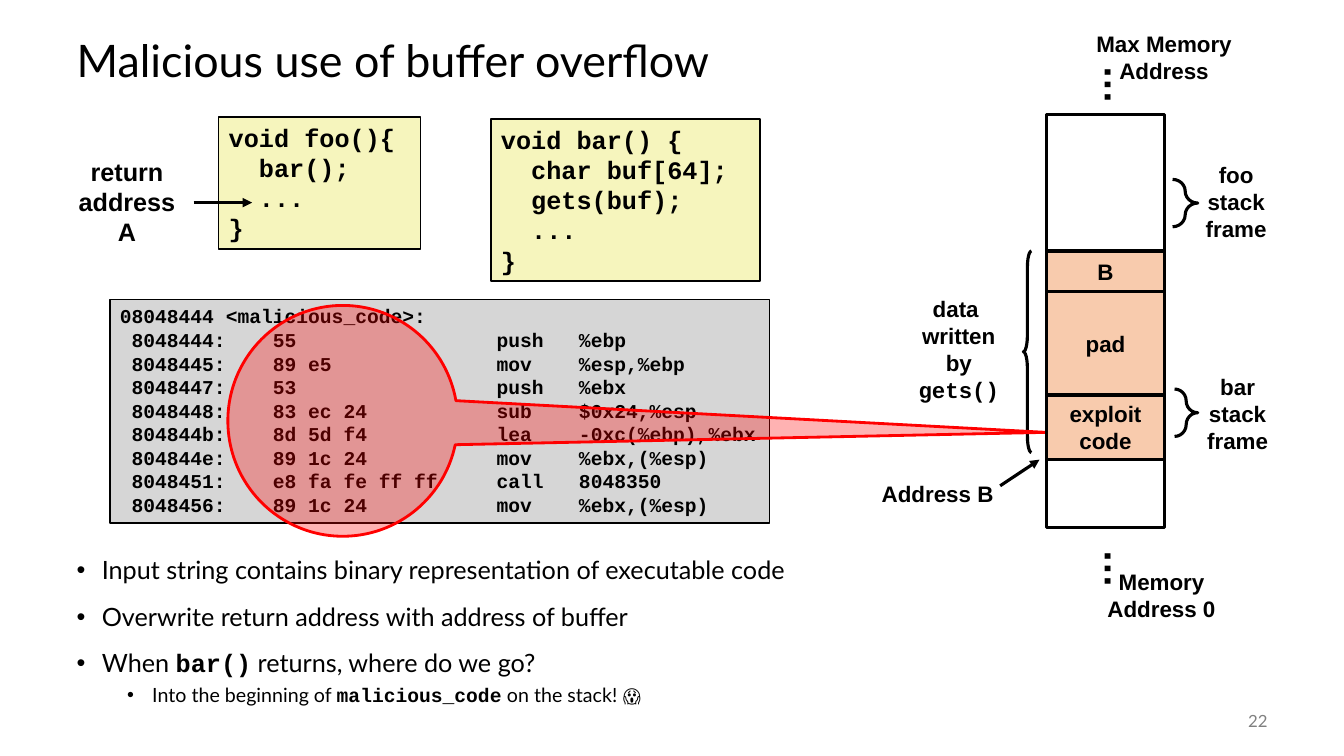
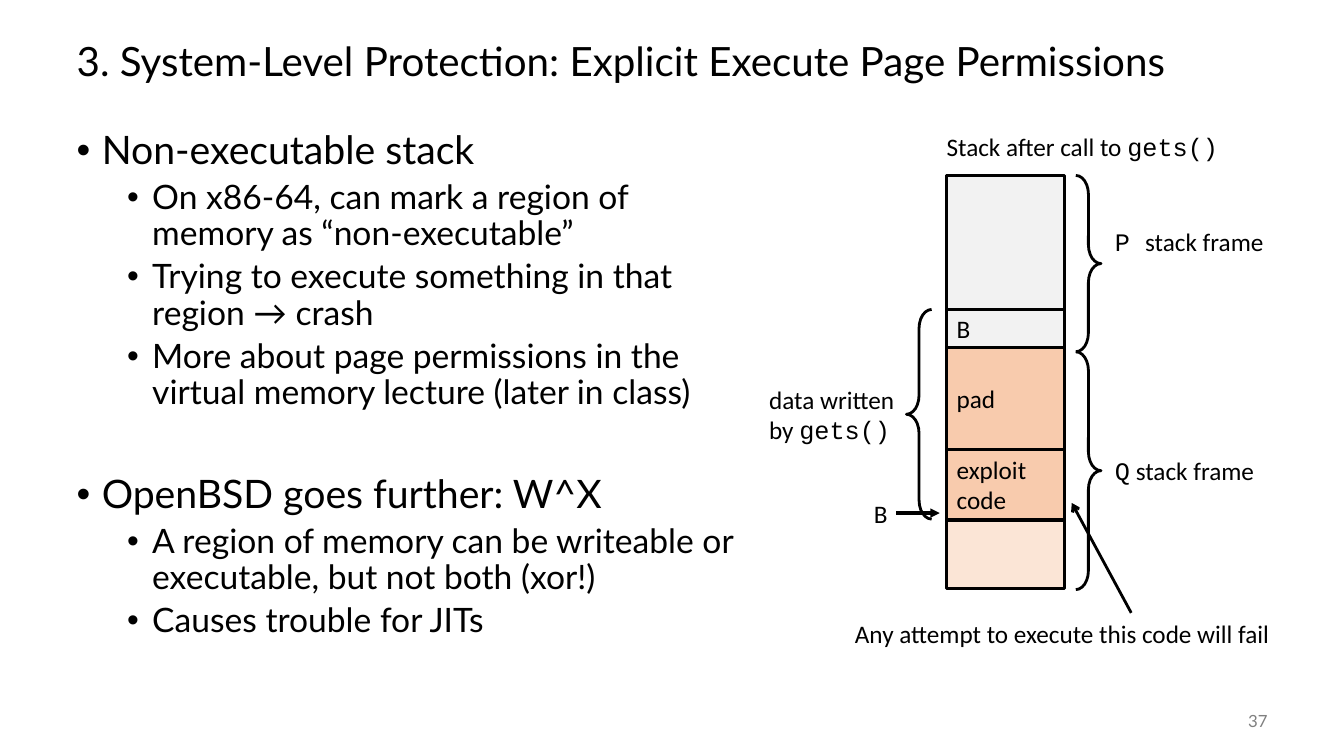
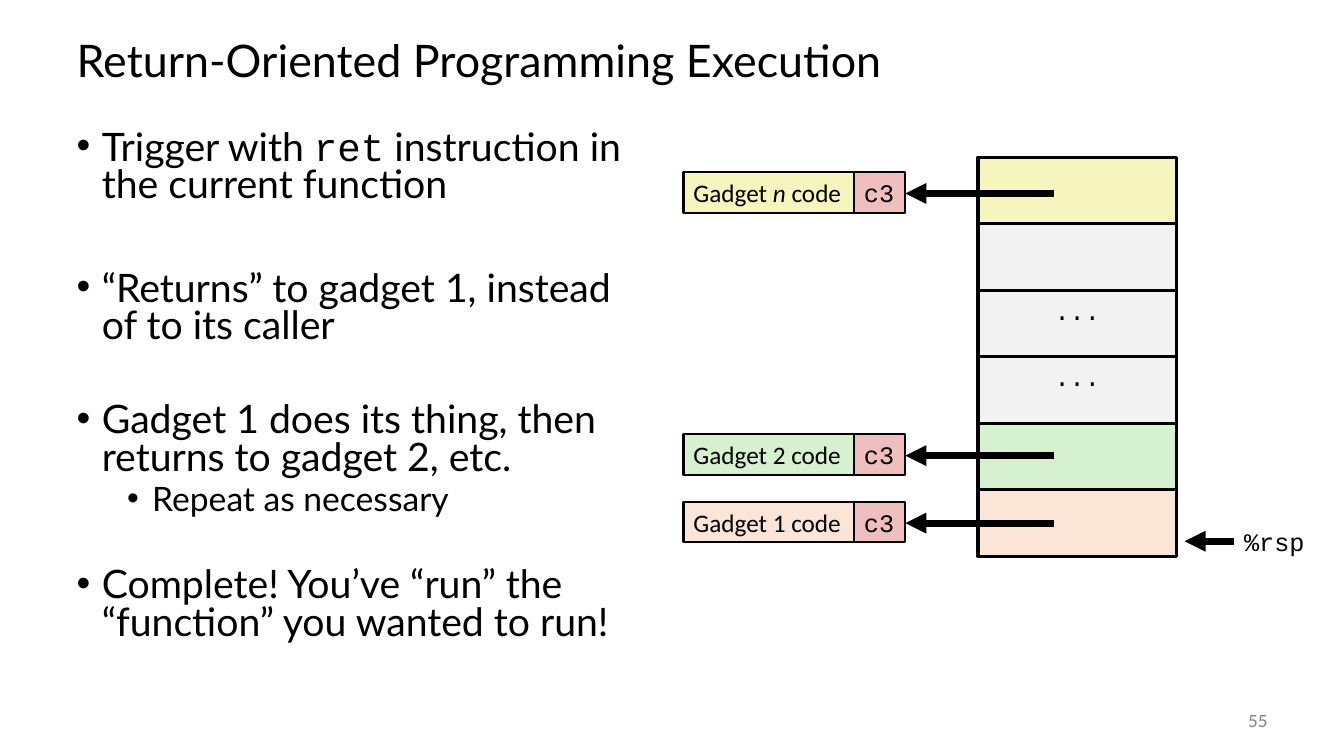
import lxml.etree
import pptx
import pptx.dml.color
import pptx.enum.shapes
import pptx.enum.text
import pptx.oxml.ns
import pptx.util

Inches = pptx.util.Inches
Pt = pptx.util.Pt
RGB = pptx.dml.color.RGBColor
KIND = pptx.enum.shapes.MSO_SHAPE
ALIGN = pptx.enum.text.PP_ALIGN
ANCHOR = pptx.enum.text.MSO_ANCHOR
qn = pptx.oxml.ns.qn

BLACK = RGB(0, 0, 0)
WHITE = RGB(255, 255, 255)
GREY = RGB(0x80, 0x80, 0x80)
DARK = RGB(0x33, 0x33, 0x33)
PALE = RGB(0xF2, 0xF2, 0xF2)
RED = RGB(255, 0, 0)
CREAM = RGB(0xF6, 0xF5, 0xBD)
PEACH = RGB(0xF8, 0xCB, 0xAD)
LIGHT = RGB(0xFB, 0xE5, 0xD6)
GREEN = RGB(0xD5, 0xF1, 0xCF)
PINK = RGB(0xEF, 0xBF, 0xBF)

MAIN, SANS, BODY, MONO = "Lato", "Arial", "Calibri", "Courier New"
CODE = {"name": MONO}
BOLD = {"name": MONO, "bold": True}
ITALIC = {"italic": True}

# Backticks mark the part of a line that takes the alternate style.
# A list item is (level, space before in points, text).
EXPLOIT = {
    "title": "Malicious use of buffer overflow", "size": 32, "number": 22,
    "box": (0.66, 5.48, 12, 1.65), "sizes": (18, 14), "pitch": 0.9, "alt": BOLD,
    "items": [
        (0, 0, "Input string contains binary representation of executable code"),
        (0, 14, "Overwrite return address with address of buffer"),
        (0, 14, "When `bar()` returns, where do we go?"),
        (1, 5, "Into the beginning of `malicious_code` on the stack! 😱"),
    ],
}
PERMIT = {
    "title": "3. System-Level Protection: Explicit Execute Page Permissions",
    "size": 28.8, "number": 37,
    "box": (0.66, 1.25, 6.86, 5.5), "sizes": (28, 24), "pitch": 0.9, "alt": CODE,
    "items": [
        (0, 0, "Non-executable stack"),
        (1, 5, "On x86-64, can mark a region of memory as “non-executable”"),
        (1, 5, "Trying to execute something in that region → crash"),
        (1, 5, "More about page permissions in the virtual memory lecture (later in class)"),
        (0, 45, "OpenBSD goes further: W^X"),
        (1, 5, "A region of memory can be writeable or executable, but not both (xor!)"),
        (1, 5, "Causes trouble for JITs"),
    ],
}
RETURN = {
    "title": "Return-Oriented Programming Execution", "size": 32, "number": 55,
    "box": (0.66, 1.25, 5.89, 5.5), "sizes": (28, 24), "pitch": 0.8, "alt": CODE,
    "items": [
        (0, 0, "Trigger with `ret` instruction in the current function"),
        (0, 47, "“Returns” to gadget 1, instead of to its caller"),
        (0, 40, "Gadget 1 does its thing, then returns to gadget 2, etc."),
        (1, 5, "Repeat as necessary"),
        (0, 36, "Complete! You’ve “run” the “function” you wanted to run!"),
    ],
}

FOO = ["void foo(){", "  bar();", "  ...", "}"]
BAR = ["void bar() {", "  char buf[64];", "  gets(buf);", "  ...", "}"]
DUMP = [
    "08048444 <malicious_code>:",
    " 8048444:    55                 push   %ebp",
    " 8048445:    89 e5              mov    %esp,%ebp",
    " 8048447:    53                 push   %ebx",
    " 8048448:    83 ec 24           sub    $0x24,%esp",
    " 804844b:    8d 5d f4           lea    -0xc(%ebp),%ebx",
    " 804844e:    89 1c 24           mov    %ebx,(%esp)",
    " 8048451:    e8 fa fe ff ff     call   8048350",
    " 8048456:    89 1c 24           mov    %ebx,(%esp)",
]

# Stack cells, top down: height, fill, lines
FRAMES = [(1.35, WHITE, []), (0.4, PEACH, ["B"]), (1.03, PEACH, ["pad"]),
          (0.64, PEACH, ["exploit", "code"]), (0.67, WHITE, [])]
PAGES = [(1.33, PALE, []), (0.38, PALE, ["B"]), (1.01, PEACH, ["pad"]),
         (0.7, PEACH, ["exploit", "code"]), (0.68, LIGHT, [])]
CHAIN = [(0.66, fill, lines) for fill, lines in [
    (CREAM, []), (PALE, []), (PALE, ["..."]), (PALE, ["..."]), (GREEN, []), (LIGHT, [])]]
GADGETS = [(1.71, CREAM, "Gadget `n `code"), (4.31, GREEN, "Gadget 2 code"),
           (4.98, LIGHT, "Gadget 1 code")]


def write(para, text, size, font, alt=CODE, bold=False, color=BLACK):
    """Set a paragraph's text, styling the parts between backticks."""
    for i, part in enumerate(text.split("`")):
        if part:
            run = para.add_run()
            run.text = part
            style = {"name": font, "bold": bold, **(alt if i % 2 else {})}
            run.font.size = Pt(size)
            run.font.color.rgb = color
            for key, value in style.items():
                setattr(run.font, key, value)


def fill_in(frame, lines, size, font, align=ALIGN.LEFT, anchor=ANCHOR.MIDDLE,
            wrap=True, **style):
    frame.word_wrap = wrap
    frame.vertical_anchor = anchor
    for i, line in enumerate(lines):
        para = frame.add_paragraph() if i else frame.paragraphs[0]
        para.alignment = align
        write(para, line, size, font, **style)


def place(shape, box):
    shape.left, shape.top, shape.width, shape.height = map(Inches, box)


def label(slide, box, lines, size=18, font=BODY, turn=0, **style):
    shape = slide.shapes.add_textbox(*map(Inches, box))
    shape.rotation = turn
    fill_in(shape.text_frame, lines, size, font, **style)


def draw(slide, box, fill=None, kind=KIND.RECTANGLE, line=BLACK, width=2.25,
         alpha=None, adjust=()):
    shape = slide.shapes.add_shape(kind, *map(Inches, box))
    shape.shadow.inherit = False
    shape.line.color.rgb = line
    shape.line.width = Pt(width)
    if fill is None:
        shape.fill.background()
    else:
        shape.fill.solid()
        shape.fill.fore_color.rgb = fill
    if alpha:
        color = shape.element.spPr.find(qn("a:solidFill"))[0]
        lxml.etree.SubElement(color, qn("a:alpha"), val=str(alpha * 1000))
    for i, value in enumerate(adjust):
        shape.adjustments[i] = value
    return shape


def arrow(slide, start, end, width=2.25, head="triangle"):
    line = slide.shapes.add_connector(
        pptx.enum.shapes.MSO_CONNECTOR.STRAIGHT, *map(Inches, start + end))
    line.line.color.rgb = BLACK
    line.line.width = Pt(width)
    props = line.element.spPr
    lxml.etree.SubElement(props.find(qn("a:ln")), qn("a:tailEnd"), type=head)
    lxml.etree.SubElement(props, qn("a:effectLst"))


def stack(slide, left, top, width, cells, size=18, font=BODY, **style):
    for height, fill, lines in cells:
        cell = draw(slide, (left, top, width, height), fill)
        fill_in(cell.text_frame, lines, size, font, **style)
        top += height


def bullet(para, level):
    para.level = level
    props = para._p.get_or_add_pPr()
    props.set("marL", str(Inches(0.25 + 0.5 * level)))
    props.set("indent", str(Inches(-0.25)))
    lxml.etree.SubElement(props, qn("a:buFont"), typeface=SANS)
    lxml.etree.SubElement(props, qn("a:buChar"), char="•")


def page(deck, spec):
    """Add a slide with its title, bullet list and number."""
    slide = deck.slides.add_slide(deck.slide_layouts[1])
    title, body = slide.placeholders
    place(title, (0.66, 0.25, 12, 0.75))
    fill_in(title.text_frame, [spec["title"]], spec["size"], MAIN)
    title.text_frame.paragraphs[0].line_spacing = 0.9
    place(body, spec["box"])
    frame = body.text_frame
    for part in (title.text_frame, frame):
        part.auto_size = pptx.enum.text.MSO_AUTO_SIZE.NONE
    for i, (level, gap, text) in enumerate(spec["items"]):
        para = frame.add_paragraph() if i else frame.paragraphs[0]
        bullet(para, level)
        para.line_spacing = spec["pitch"]
        para.space_before = Pt(gap)
        write(para, text, spec["sizes"][level], MAIN, spec["alt"])
    label(slide, (11.67, 6.95, 1, 0.4), [str(spec["number"])], 12, MAIN,
          align=ALIGN.RIGHT, color=GREY)
    return slide


def exploit(deck):
    slide = page(deck, EXPLOIT)
    bold = {"font": SANS, "bold": True, "align": ALIGN.CENTER}
    for box, lines, size, fill, alpha in [
            ((4.87, 1.18, 2.67, 1.61), BAR, 18, CREAM, None),
            ((2.17, 1.16, 2, 1.31), FOO, 18, CREAM, None),
            ((1.09, 2.97, 6.54, 2.22), DUMP, 14, DARK, 20)]:
        code = draw(slide, box, fill, width=1, alpha=alpha)
        fill_in(code.text_frame, lines, size, MONO, bold=True, anchor=ANCHOR.TOP)
    label(slide, (0.68, 1.5, 1.16, 1), ["return", "address", "A"], wrap=False, **bold)
    arrow(slide, (1.92, 2.01), (2.5, 2.01))
    draw(slide, (10.15, 2.49, 0.08, 2), kind=KIND.LEFT_BRACE, adjust=(2, 0.5))
    draw(slide, (2.26, 3.03, 2.28, 2.29), RED, KIND.OVAL_CALLOUT, RED, 2,
         alpha=30, adjust=(3.06, 0.05))
    stack(slide, 10.38, 1.14, 1.17, FRAMES, 16, **bold)
    draw(slide, (11.63, 1.78, 0.25, 0.47), kind=KIND.RIGHT_BRACE, adjust=(0.58, 0.5))
    draw(slide, (11.65, 3.86, 0.23, 0.47), kind=KIND.RIGHT_BRACE, adjust=(0.87, 0.5))
    for box, text in [((11.77, 1.55, 0.98, 0.9), "foo stack frame"),
                      ((11.81, 3.65, 0.93, 0.9), "bar stack frame"),
                      ((8.17, 4.71, 2.26, 0.37), "Address B"),
                      ((10.65, 0.25, 1.79, 0.64), "Max Memory Address"),
                      ((10.76, 5.58, 1.52, 0.64), "Memory Address 0")]:
        label(slide, box, [text], 16, **bold)
    label(slide, (9.01, 2.88, 1, 1.17), ["data ", "written", "by", "`gets()`"], 16,
          wrap=False, **bold)
    arrow(slide, (9.92, 4.82), (10.31, 4.56))
    for top in (0.56, 5.36):
        label(slide, (10.37, top, 0.98, 0.57), ["…"], 28, turn=270, **bold)


def permit(deck):
    slide = page(deck, PERMIT)
    stack(slide, 9.39, 1.74, 1.17, PAGES)
    for box, lines in [((9.29, 1.25, 2.93, 0.4), ["Stack after call to `gets()`"]),
                       ((10.96, 2.2, 1.7, 0.4), ["`P `stack frame"]),
                       ((10.96, 4.47, 1.61, 0.4), ["`Q` stack frame"]),
                       ((8.57, 4.89, 0.34, 0.4), ["B"]),
                       ((7.53, 3.76, 1.5, 0.71), ["data written", "by `gets()`"])]:
        label(slide, box, lines, wrap=False)
    for kind, left, top, height in [(KIND.RIGHT_BRACE, 10.67, 1.74, 1.75),
                                    (KIND.RIGHT_BRACE, 10.67, 3.49, 2.36),
                                    (KIND.LEFT_BRACE, 8.99, 3.07, 2.08)]:
        draw(slide, (left, top, 0.25, height), kind=kind, width=2, adjust=(0.75, 0.5))
    arrow(slide, (8.89, 5.09), (9.32, 5.09))
    arrow(slide, (11.22, 6.08), (10.63, 4.99), 2, "arrow")
    label(slide, (8.19, 6.08, 4.5, 0.4), ["Any attempt to execute this code will fail"],
          align=ALIGN.RIGHT, wrap=False)


def execute(deck):
    slide = page(deck, RETURN)
    stack(slide, 9.7, 1.56, 1.97, CHAIN, font=MONO, align=ALIGN.CENTER, anchor=ANCHOR.TOP)
    for top, fill, text in GADGETS:
        name = draw(slide, (6.78, top, 1.7, 0.4), fill, width=1.5)
        fill_in(name.text_frame, [text], 18, BODY, alt=ITALIC, wrap=False)
        code = draw(slide, (8.47, top, 0.51, 0.4), PINK, width=1.5)
        fill_in(code.text_frame, ["c3"], 18, MONO, wrap=False)
        arrow(slide, (10.45, top + 0.21), (8.98, top + 0.21), 5)
    arrow(slide, (12.24, 5.37), (11.75, 5.37), 5)
    label(slide, (12.24, 5.17, 0.81, 0.4), ["%rsp"], font=MONO, wrap=False)


def main():
    deck = pptx.Presentation()
    deck.slide_width, deck.slide_height = Inches(13.33), Inches(7.5)
    for build in (exploit, permit, execute):
        build(deck)
    deck.save("out.pptx")


if __name__ == "__main__":
    main()
